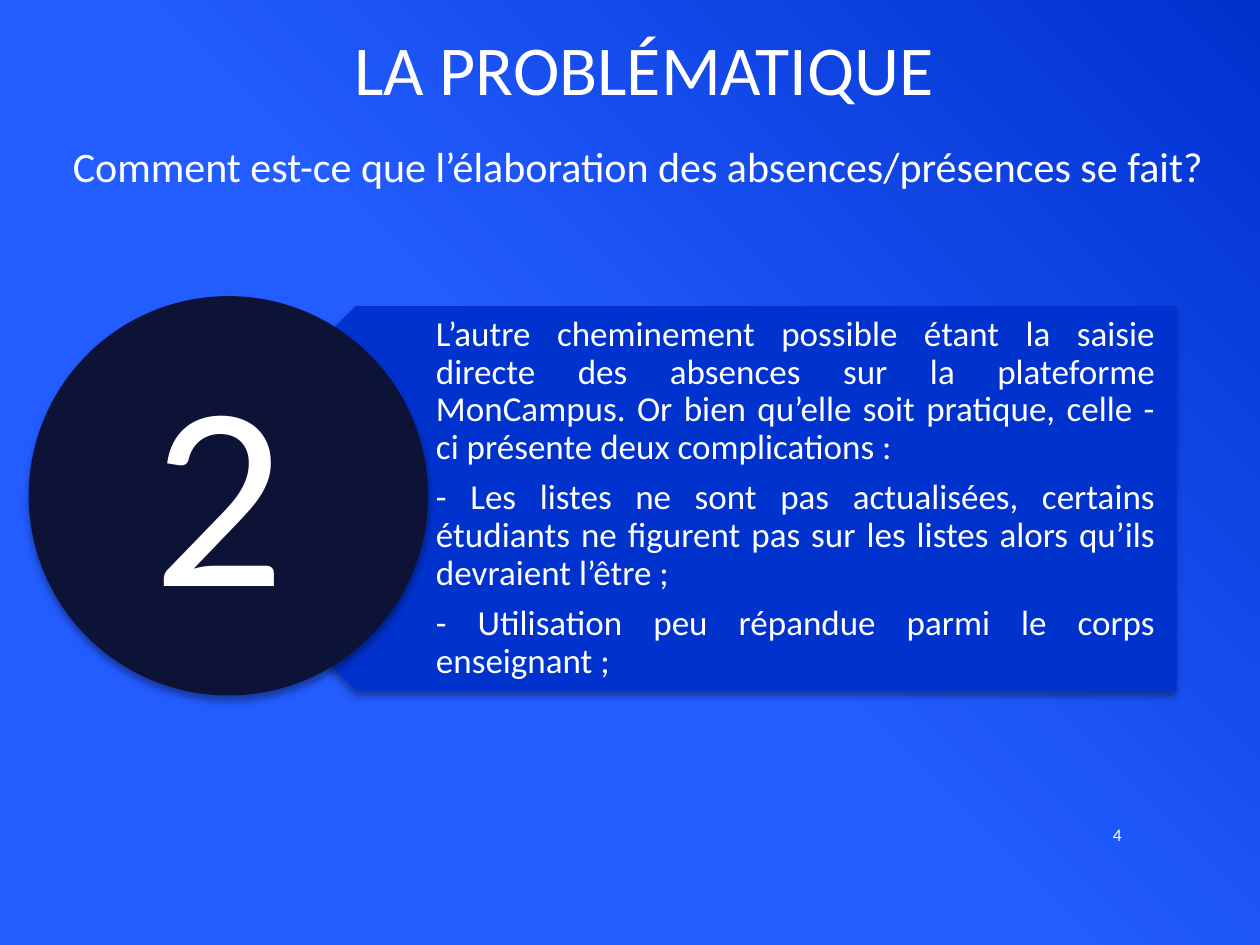
from lxml.etree import fromstring
from pptx import Presentation
from pptx.dml.color import RGBColor as Rgb
from pptx.enum.shapes import MSO_SHAPE as Shape
from pptx.enum.text import MSO_ANCHOR as Anchor, PP_ALIGN as Align
from pptx.util import Cm, Pt

COLORS = {"light": "235CFF", "deep": "0032CE", "night": "0C1336",
          "text": "FFFFFF", "shadow": "000000"}
FONT = "Calibri"
SHADOW = (
    '<a:effectLst xmlns:a="http://schemas.openxmlformats.org/drawingml/2006/main">'
    '<a:outerShdw blurRad="50800" dist="38100" dir="5400000" rotWithShape="0">'
    f'<a:srgbClr val="{COLORS["shadow"]}"><a:alpha val="35000"/></a:srgbClr>'
    '</a:outerShdw></a:effectLst>'
)


def color(name):
    return Rgb.from_string(COLORS[name])


def assign(target, values):
    for key, value in values.items():
        setattr(target, key, value)


class SlideBuilder:
    def __init__(self, prs):
        self.slide = prs.slides.add_slide(prs.slide_layouts[5])

    def background(self, start, end):
        fill = self.slide.background.fill
        fill.gradient()
        fill.gradient_angle = 45
        for stop, name, position in zip(fill.gradient_stops, (start, end), (0.48, 1)):
            stop.color.rgb = color(name)
            stop.position = position

    def fill_frame(self, frame, paragraphs, size, frame_format=None, paragraph_format=None):
        assign(frame, {"word_wrap": True, "vertical_anchor": Anchor.MIDDLE,
                       **(frame_format or {})})
        for index, words in enumerate(paragraphs):
            paragraph = frame.paragraphs[0] if index == 0 else frame.add_paragraph()
            paragraph.text = words
            assign(paragraph, paragraph_format or {})
            assign(paragraph.font, {"name": FONT, "size": Pt(size)})
            paragraph.font.color.rgb = color("text")

    def title(self, box, words, size):
        title = self.slide.shapes.title
        assign(title, dict(zip(("left", "top", "width", "height"), map(Cm, box))))
        self.fill_frame(title.text_frame, [words], size, {"word_wrap": False},
                        {"alignment": Align.CENTER})

    def text(self, box, paragraphs, size, frame_format=None, **paragraph_format):
        frame = self.slide.shapes.add_textbox(*map(Cm, box)).text_frame
        self.fill_frame(frame, paragraphs, size, frame_format, paragraph_format)

    def shape(self, kind, box, fill, rotation=0):
        shape = self.slide.shapes.add_shape(kind, *map(Cm, box))
        shape.rotation = rotation
        shape.fill.solid()
        shape.fill.fore_color.rgb = color(fill)
        shape.line.fill.background()
        shape._element.spPr.append(fromstring(SHADOW))


def main():
    prs = Presentation()
    assign(prs, {"slide_width": Cm(25.4), "slide_height": Cm(19.05)})

    page = SlideBuilder(prs)
    page.background("light", "deep")
    page.title((6.81, 0.25, 12.34, 2.21), "LA PROBLÉMATIQUE", 40)
    page.shape(Shape.PENTAGON, (3.3, 6.17, 20.42, 7.75), "deep", 180)
    page.text(
        (5.23, 6.17, 18.47, 7.75),
        ["L’autre cheminement possible étant la saisie directe des absences sur la "
         "plateforme MonCampus. Or bien qu’elle soit pratique, celle - ci présente "
         "deux complications :",
         "- Les listes ne sont pas actualisées, certains étudiants ne figurent pas "
         "sur les listes alors qu’ils devraient l’être ;",
         "- Utilisation peu répandue parmi le corps enseignant ;"],
        20,
        {"margin_left": Cm(3.56), "margin_top": Cm(0.2),
         "margin_right": Cm(0.41), "margin_bottom": Cm(0.2)},
        alignment=Align.JUSTIFY, line_spacing=0.9, space_after=Pt(7),
    )
    page.shape(Shape.OVAL, (0.58, 5.97, 8.05, 8.05), "night")
    page.text((0.92, 2.49, 23.88, 1.7),
              ["Comment est-ce que l’élaboration des absences/présences se fait?"],
              24, alignment=Align.CENTER)
    page.text((2.82, 6.4, 3.68, 6.68), ["2"], 150, {"vertical_anchor": Anchor.TOP})
    page.text((21.69, 16.31, 1.17, 1.04), ["4"], 10, alignment=Align.RIGHT)

    prs.save("out.pptx")


if __name__ == "__main__":
    main()
